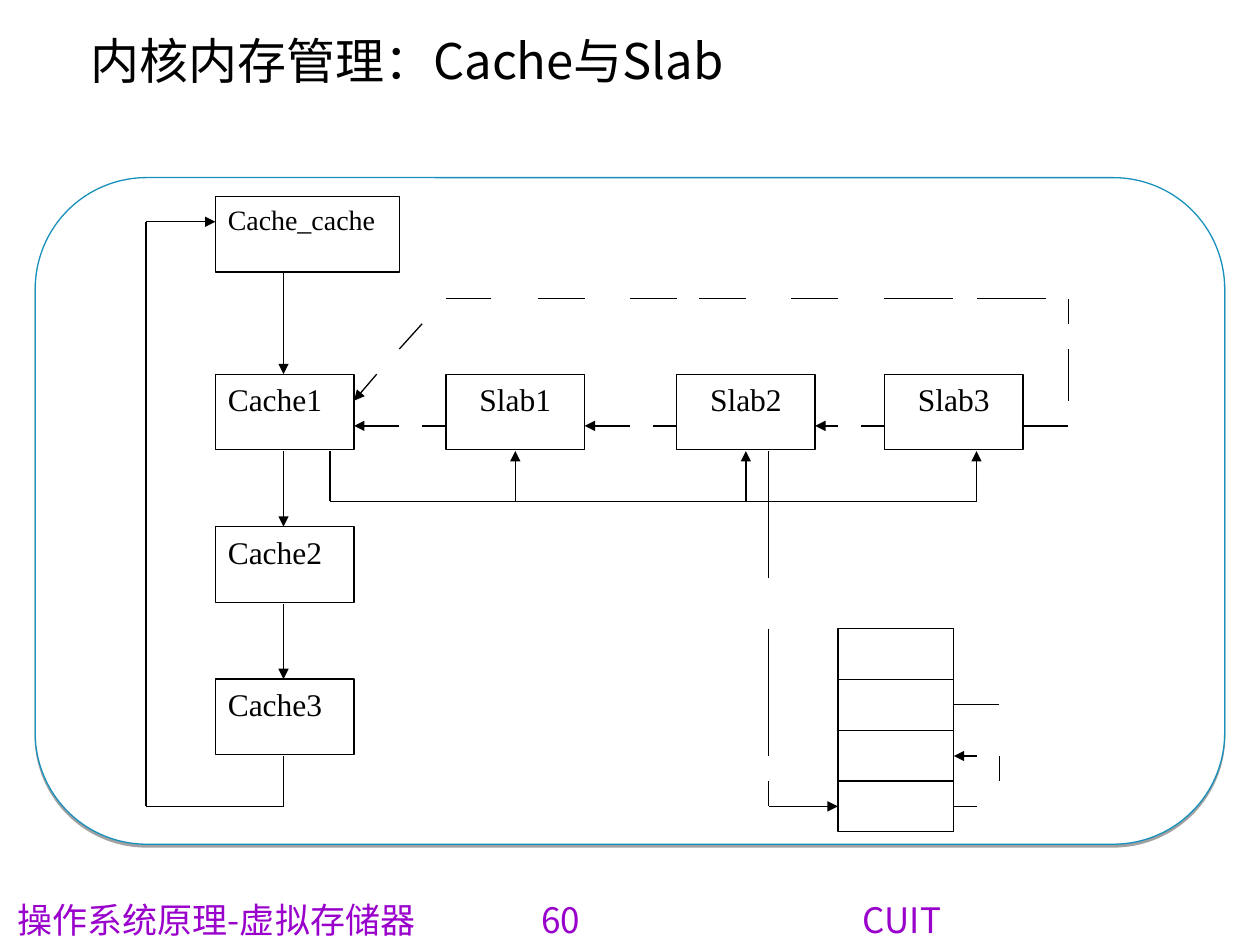
from itertools import pairwise
from lxml.etree import SubElement
from pptx import Presentation
from pptx.dml.color import RGBColor
from pptx.enum.shapes import MSO_CONNECTOR, MSO_SHAPE
from pptx.enum.text import MSO_ANCHOR, PP_ALIGN
from pptx.oxml import parse_xml
from pptx.oxml.ns import nsdecls, qn
from pptx.util import Inches, Pt

# Content
TITLE = "内核内存管理：Cache与Slab"
FOOTER = [  # text, left, width, font
    ("操作系统原理-虚拟存储器", 0.04, 4, "Noto Sans CJK SC"),
    ("60", 4.2, 1, "Noto Sans CJK SC"),
    ("CUIT", 6.75, 2, "Noto Sans CJK KR"),
]
CACHES = ["Cache1", "Cache2", "Cache3"]
SLABS = [("Slab1", 3.54), ("Slab2", 5.37), ("Slab3", 7.02)]

# Grid
LEFT, TOP, WIDE, HIGH, STEP = 1.71, 2.97, 1.1, 0.6, 1.21
MID, LOW, BUS, BACK, LOOP = 2.25, 3.58, 3.98, 3.38, 2.37
CELL_X, CELL_Y, CELL_W, CELL_H = 6.65, 4.99, 0.92, 0.403
CELL_R = CELL_X + CELL_W

# Routes as points; arrows end at the last point
ARROWS = [
    [(MID, 2.17), (MID, TOP)],
    *[[(MID, LOW + i * STEP), (MID, TOP + (i + 1) * STEP)] for i in range(2)],
    [(MID, 6), (MID, 6.4), (1.16, 6.4), (1.16, 1.76), (LEFT, 1.76)],
    *[[(x, BUS), (x, LOW)] for x in (4.09, 5.92, 7.75)],
    *[[(a, BACK), (b, BACK)] for a, b in ((3.17, 2.81), (5, 4.64), (6.65, 6.47))],
    [(2.99, TOP), (2.81, 3.18)],
    [(6.1, 6.2), (6.1, 6.4), (CELL_X, 6.4)],
    [(7.75, 6), (CELL_R, 6)],
]
LINES = [
    [(2.62, LOW), (2.62, BUS), (7.75, BUS)],
    *[[(x, BACK), (x - 0.19, BACK)] for _, x in SLABS],
    [(8.11, BACK), (8.48, BACK)],
    [(8.48, 3.18), (8.48, 2.77)],
    [(8.48, 2.57), (8.48, LOOP)],
    *[[(a, LOOP), (b, LOOP)] for a, b in (
        (8.3, 7.75), (7.56, 7.02), (6.65, 6.28), (5.92, 5.55),
        (5.37, 5), (4.64, 4.27), (3.9, 3.54))],
    [(3.35, 2.57), (3.17, 2.77)],
    [(6.1, LOW), (6.1, 4.59)],
    [(6.1, 4.99), (6.1, 6)],
    [(CELL_R, 6.4), (7.75, 6.4)],
    [(7.93, 6.2), (7.93, 6)],
    [(CELL_R, 5.59), (7.93, 5.59)],
]


def color(text):
    return RGBColor.from_string(text)


def write(frame, text, size, face, ink="000000", align=PP_ALIGN.LEFT):
    frame.word_wrap = True
    para = frame.paragraphs[0]
    para.alignment = align
    run = para.add_run()
    run.text = text
    run.font.size = Pt(size)
    run.font.name = face
    run.font.color.rgb = color(ink)
    SubElement(run.font._element, qn("a:ea")).set("typeface", face)
    return para


def box(kind, x, y, w, h, edge="000000"):
    shape = slide.shapes.add_shape(kind, Inches(x), Inches(y), Inches(w), Inches(h))
    shape.shadow.inherit = False
    shape.fill.solid()
    shape.fill.fore_color.rgb = color("FFFFFF")
    shape.line.color.rgb = color(edge)
    shape.line.width = Pt(0.75)
    return shape


def node(text, x, y, w=WIDE, size=18, align=PP_ALIGN.JUSTIFY):
    frame = box(MSO_SHAPE.RECTANGLE, x, y, w, HIGH).text_frame
    frame.vertical_anchor = MSO_ANCHOR.TOP
    write(frame, text, size, "Times New Roman", align=align)


def route(points, arrow=False):
    for start, end in pairwise(points):
        line = slide.shapes.add_connector(
            MSO_CONNECTOR.STRAIGHT, *[Inches(v) for v in start + end])
        line.line.color.rgb = color("000000")
        line.line.width = Pt(0.75)
        SubElement(line._element.spPr, qn("a:effectLst"))
    if arrow:
        SubElement(line.line._get_or_add_ln(), qn("a:tailEnd")).set("type", "triangle")


deck = Presentation()
deck.slide_width, deck.slide_height = Inches(10), Inches(7.5)
slide = deck.slides.add_slide(deck.slide_layouts[5])

# Title
title = slide.shapes.title
title.left, title.top, title.width, title.height = map(Inches, (0.62, 0.28, 9, 0.8))
title.text_frame.vertical_anchor = MSO_ANCHOR.TOP
write(title.text_frame, TITLE, 28, "Noto Sans CJK KR").line_spacing = 0.8

# Panel with a soft edge below
panel = box(MSO_SHAPE.ROUNDED_RECTANGLE, 0.28, 1.41, 9.44, 5.29, "1790BB")
panel.adjustments[0] = 0.167
panel._element.spPr.find(qn("a:effectLst")).append(parse_xml(
    f'<a:outerShdw {nsdecls("a")} blurRad="0" dist="{Pt(1.6)}" dir="5400000" '
    'rotWithShape="0"><a:srgbClr val="000000"><a:alpha val="37000"/>'
    '</a:srgbClr></a:outerShdw>'))

# Footer
for text, x, w, face in FOOTER:
    area = slide.shapes.add_textbox(Inches(x), Inches(7.1), Inches(w), Inches(0.4))
    area.text_frame.vertical_anchor = MSO_ANCHOR.MIDDLE
    write(area.text_frame, text, 20, face, "9900CC")

# Caches, slabs and the cells of one slab
node("Cache_cache", LEFT, 1.56, 1.46, 16)
for i, text in enumerate(CACHES):
    node(text, LEFT, TOP + i * STEP)
for text, x in SLABS:
    node(text, x, TOP, align=PP_ALIGN.CENTER)
for i in range(4):
    box(MSO_SHAPE.RECTANGLE, CELL_X, CELL_Y + i * CELL_H, CELL_W, CELL_H)

# Links
for points in LINES:
    route(points)
for points in ARROWS:
    route(points, arrow=True)

deck.save("out.pptx")
